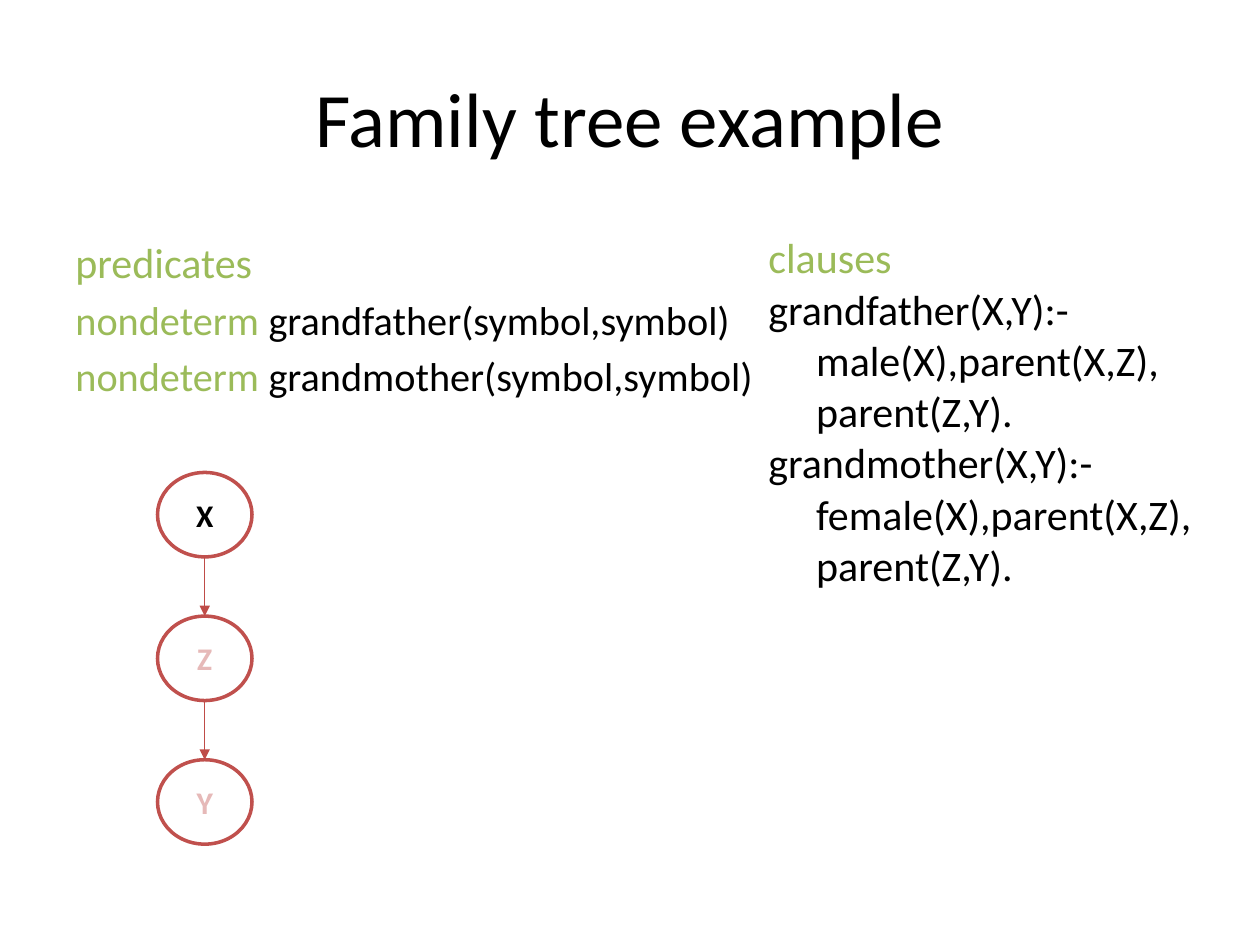
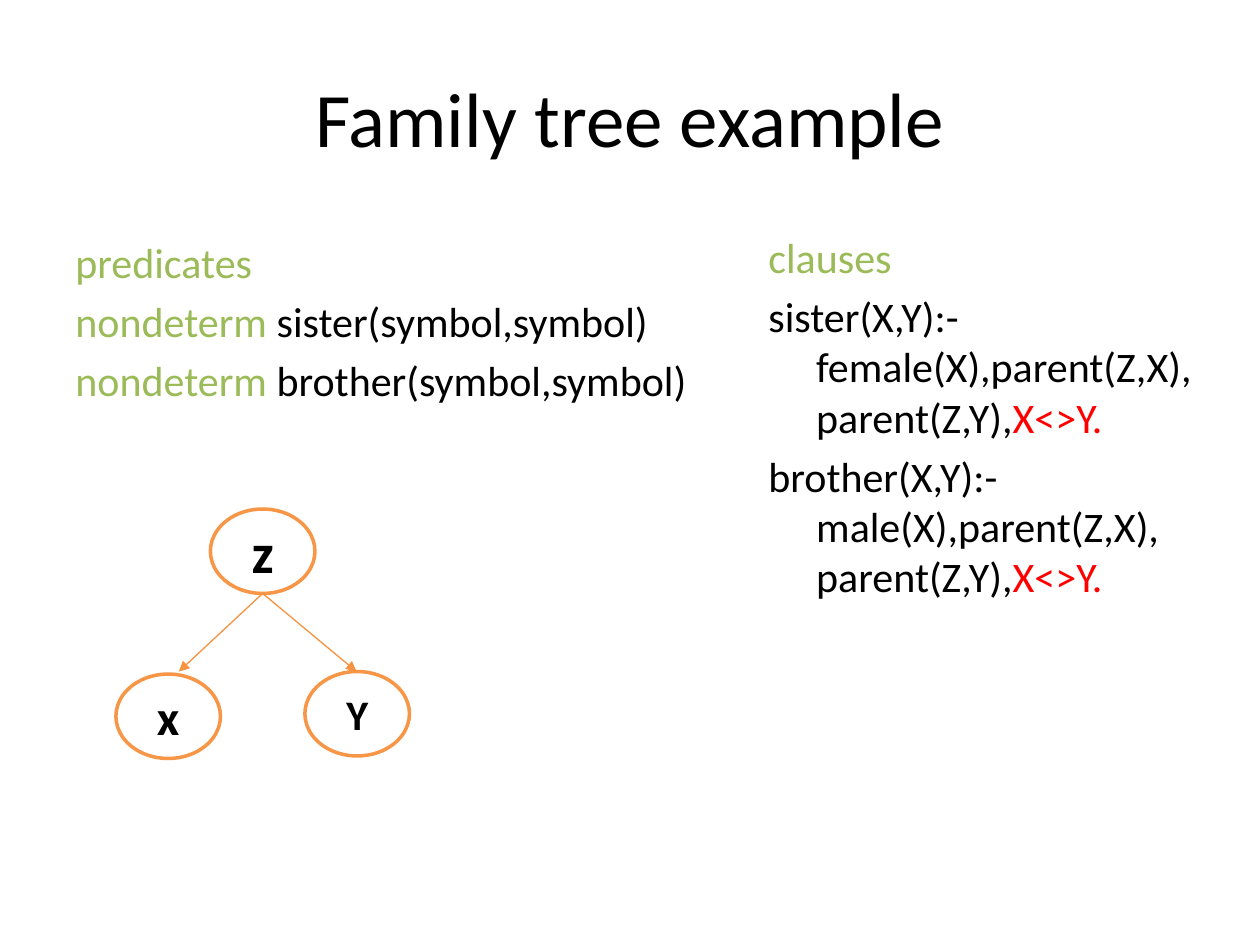
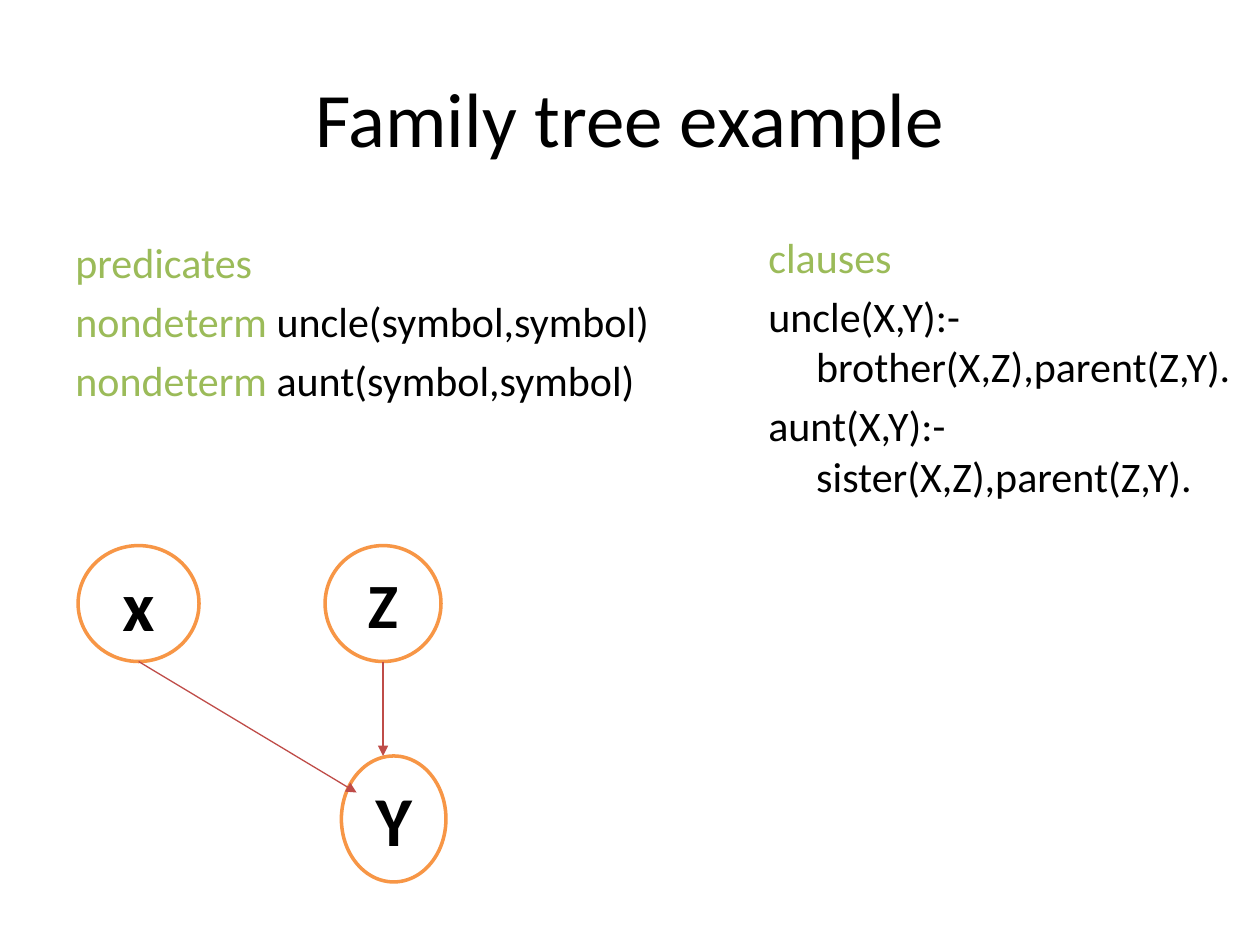
from lxml.etree import SubElement as Sub
from pptx import Presentation as Deck
from pptx.dml.color import RGBColor as Color
from pptx.enum.shapes import MSO_CONNECTOR as Link, MSO_SHAPE as Kind
from pptx.enum.text import MSO_ANCHOR as Anchor, PP_ALIGN as Align
from pptx.oxml.ns import qn
from pptx.util import Inches, Pt

FONT = "Calibri"
BLACK, WHITE, GREEN = "000000", "FFFFFF", "9BBB59"
RED, ROSE, PINK = "C0504D", "BF4C48", "E6B9B8"
ORANGE, AMBER, ALERT = "F79646", "F69240", "FF0000"
INDENT = 0.38


def rgb(code):
    """Turn a hex string into a colour."""
    return Color.from_string(code)


def add_run(par, text, size, color, bold=False):
    """Add one run, with a line break at each newline."""
    for i, part in enumerate(text.split("\n")):
        if i:
            par.add_line_break()
        run = par.add_run()
        run.text = part
        font = run.font
        font.name, font.size, font.bold = FONT, Pt(size), bold
        font.color.rgb = rgb(color)
    return run


def add_box(slide, *area):
    """Add a wrapping text box and return its frame."""
    frame = slide.shapes.add_textbox(*map(Inches, area)).text_frame
    frame.word_wrap = True
    return frame


def add_title(slide):
    """Add the title that all slides share."""
    frame = add_box(slide, 0.5, 0.3, 9, 1.25)
    frame.vertical_anchor = Anchor.MIDDLE
    par = frame.paragraphs[0]
    par.alignment = Align.CENTER
    add_run(par, "Family tree example", 44, BLACK)


def add_par(frame, runs, size=24, gap=None, hang=True):
    """Add a paragraph of (text, colour) runs; gap is in points."""
    par = frame.add_paragraph()
    par.space_before = Pt(0.2 * size if gap is None else gap)
    props = par._p.get_or_add_pPr()
    props.set("marL", str(Inches(INDENT)))
    props.set("indent", str(Inches(-INDENT if hang else 0)))
    for text, color in runs:
        add_run(par, text, size, color)
    return par


def add_code(slide, head, spacing, *area):
    """Add a code column under a green keyword."""
    frame = add_box(slide, *area)
    first = frame.paragraphs[0]._p
    add_par(frame, [(head, GREEN)]).line_spacing = spacing
    frame._txBody.remove(first)
    return frame


def add_preds(slide, names, width=5.17, size=24):
    """Add the predicates column."""
    frame = add_code(slide, "predicates", 1.2, 0.5, 1.75, width, 4.95)
    for name in names:
        add_par(frame, [("nondeterm", GREEN),
                        (f" {name}(symbol,symbol)", BLACK)], size)


def add_rules(slide):
    """Add the clauses column and return its frame."""
    return add_code(slide, "clauses", 1.1, 6, 1.75, 4, 5.25)


def add_node(slide, text, area, size, line, color=BLACK, edge=None):
    """Add a round node and return its bottom centre in inches."""
    node = slide.shapes.add_shape(Kind.FLOWCHART_CONNECTOR,
                                  *map(Inches, area))
    node.shadow.inherit = False
    node.fill.solid()
    node.fill.fore_color.rgb = rgb(WHITE)
    node.line.color.rgb = rgb(line)
    node.line.width = Pt(2)
    frame = node.text_frame
    frame.vertical_anchor = Anchor.MIDDLE
    par = frame.paragraphs[0]
    par.alignment = Align.CENTER
    run = add_run(par, text, size, color, True)
    if edge:
        props = run.font._element
        out = Sub(props, qn("a:ln"), w=str(Pt(1.75)))
        Sub(Sub(out, qn("a:solidFill")), qn("a:srgbClr"), val=edge)
        props.insert(0, out)
    left, top, width, height = area
    return left + width / 2, top + height


def add_arrow(slide, start, end, color):
    """Add a thin arrow between two points."""
    line = slide.shapes.add_connector(
        Link.STRAIGHT, *map(Inches, (*start, *end)))
    line.line.color.rgb = rgb(color)
    line.line.width = Pt(0.75)
    Sub(line.line._get_or_add_ln(), qn("a:tailEnd"), type="triangle")
    Sub(line._element.spPr, qn("a:effectLst"))


def draw_grand(slide):
    """Grandparents: a chain of three nodes."""
    add_preds(slide, ["grandfather", "grandmother"], 5.58, 23)
    frame = add_rules(slide)
    for name, sex in (("grandfather", "male"), ("grandmother", "female")):
        add_par(frame, [(f"{name}(X,Y):-", BLACK)], gap=0.5)
        for goal in (f"{sex}(X),parent(X,Z),", "parent(Z,Y)."):
            add_par(frame, [(goal, BLACK)], gap=0.5, hang=False)
    top, step = 3.75, 1.14
    feet = [add_node(slide, text, (1.25, top + i * step, 0.75, 0.67),
                     18, RED, color, RED)
            for i, (text, color) in enumerate(
                (("X", BLACK), ("Z", PINK), ("Y", PINK)))]
    for i, (mid, foot) in enumerate(feet[:2], 1):
        add_arrow(slide, (mid, foot), (mid, top + i * step), ROSE)


def draw_sibs(slide):
    """Siblings: one parent above two children."""
    add_preds(slide, ["sister", "brother"])
    frame = add_rules(slide)
    for name, sex in (("sister", "female"), ("brother", "male")):
        rule = f"{name}(X,Y):-{sex}(X),parent(Z,X),\nparent(Z,Y),"
        add_par(frame, [(rule, BLACK), ("X<>Y.", ALERT)])
    for text, left, top, size in (("x", 0.92, 5.35, 28),
                                  ("Y", 2.42, 5.33, 24),
                                  ("z", 1.67, 4.04, 32)):
        foot = add_node(slide, text, (left, top, 0.83, 0.67), size, ORANGE)
    for mid in (1.42, 2.83):
        add_arrow(slide, foot, (mid, 5.33), AMBER)


def draw_aunts(slide):
    """Uncle and aunt: two nodes above one child."""
    add_preds(slide, ["uncle", "aunt"])
    frame = add_rules(slide)
    for name, kin in (("uncle", "brother"), ("aunt", "sister")):
        add_par(frame, [(f"{name}(X,Y):-{kin}(X,Z),parent(Z,Y).", BLACK)])
    z_foot = add_node(slide, "Z", (2.58, 4.33, 0.92, 0.92), 36, ORANGE)
    x_foot = add_node(slide, "x", (0.62, 4.33, 0.96, 0.92), 40, ORANGE)
    add_node(slide, "Y", (2.71, 6, 0.83, 1), 40, ORANGE)
    add_arrow(slide, z_foot, (z_foot[0], 6), ROSE)
    add_arrow(slide, x_foot, (2.83, 6.29), ROSE)


def main():
    """Build and save the deck."""
    deck = Deck()
    deck.slide_width, deck.slide_height = Inches(10), Inches(7.5)
    for draw in (draw_grand, draw_sibs, draw_aunts):
        slide = deck.slides.add_slide(deck.slide_layouts[6])
        add_title(slide)
        draw(slide)
    deck.save("out.pptx")


main()
